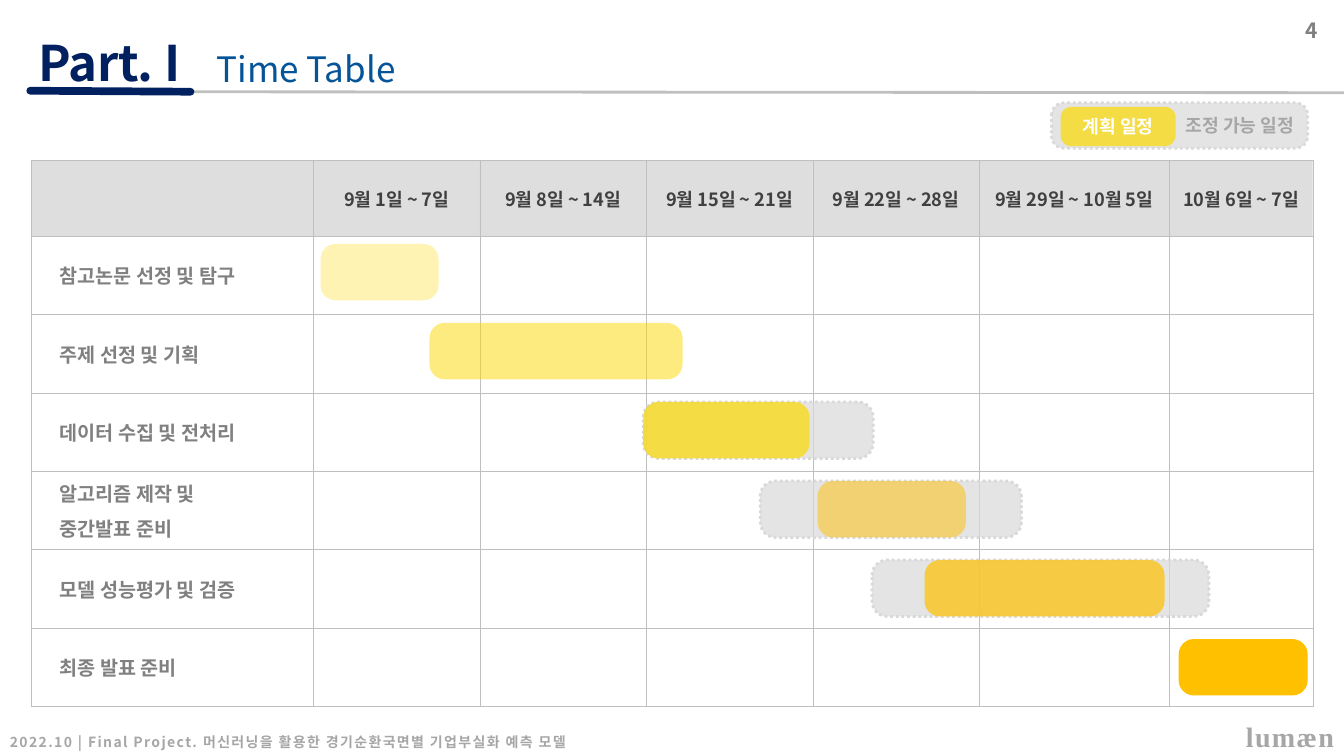
from lxml import etree
from pptx import Presentation
from pptx.dml.color import RGBColor
from pptx.enum.dml import MSO_LINE
from pptx.enum.shapes import MSO_CONNECTOR, MSO_SHAPE
from pptx.enum.text import MSO_ANCHOR, PP_ALIGN
from pptx.oxml.ns import qn
from pptx.util import Inches, Pt

LEFT, CENTER, RIGHT = PP_ALIGN.LEFT, PP_ALIGN.CENTER, PP_ALIGN.RIGHT
TOP, MIDDLE, BOTTOM = MSO_ANCHOR.TOP, MSO_ANCHOR.MIDDLE, MSO_ANCHOR.BOTTOM
SANS, SERIF = "Noto Sans CJK KR", "Times New Roman"
NAVY, YELLOW, GOLD = "002060", "FCD901", "FFC000"
RULE_GRAY, SLACK_GRAY, PALE_GRAY, LABEL_GRAY = "BFBFBF", "D9D9D9", "A6A6A6", "808080"

TITLE = "Time Table"
PART = "Part. I"
PAGE_NUMBER = "4"
TEAM = "lumæn"
FOOTER = "2022.10 | Final Project. 머신러닝을 활용한 경기순환국면별 기업부실화 예측 모델"
LEGEND_SLACK, LEGEND_PLAN = "조정 가능 일정", "계획 일정"
WEEKS = ["9월 1일 ~ 7일", "9월 8일 ~ 14일", "9월 15일 ~ 21일",
         "9월 22일 ~ 28일", "9월 29일 ~ 10월 5일", "10월 6일 ~ 7일"]
# label lines, planned (left, width), colour, opacity, adjustable (left, width)
TASKS = [
    (["참고논문 선정 및 탐구"], (3.18, 1.17), YELLOW, 30, None),
    (["주제 선정 및 기획"], (4.26, 2.51), YELLOW, 50, None),
    (["데이터 수집 및 전처리"], (6.38, 1.65), YELLOW, 70, (6.38, 2.28)),
    (["알고리즘 제작 및", "중간발표 준비"], (8.11, 1.47), GOLD, 50, (7.54, 2.59)),
    (["모델 성능평가 및 검증"], (9.17, 2.38), GOLD, 70, (8.65, 3.34)),
    (["최종 발표 준비"], (11.69, 1.28), GOLD, 100, None),
]

TABLE_BOX = (0.31, 1.59, 12.71, 5.42)
COLUMN_WIDTHS = [2.8, 1.65, 1.65, 1.65, 1.65, 1.89, 1.42]
HEADER_HEIGHT = 0.75
ROW_HEIGHT = (TABLE_BOX[3] - HEADER_HEIGHT) / len(TASKS)
FIRST_BAR, LAST_BAR, BAR_HEIGHT = 2.42, 6.34, 0.56
BAR_STEP = (LAST_BAR - FIRST_BAR) / (len(TASKS) - 1)


def color(value):
    return RGBColor.from_string(value)


def fill_solid(fill, value, opacity=100):
    fill.solid()
    fill.fore_color.rgb = color(value)
    if opacity < 100:
        solid = fill._xPr.find(qn("a:solidFill"))
        etree.SubElement(solid[0], qn("a:alpha"), val=str(opacity * 1000))


def write(frame, lines, size, value, bold=True, align=LEFT, anchor=TOP,
          name=SANS, spacing=0, after=0):
    frame.word_wrap = True
    frame.vertical_anchor = anchor
    for index, line in enumerate(lines):
        paragraph = frame.paragraphs[0] if index == 0 else frame.add_paragraph()
        paragraph.alignment = align
        if index < len(lines) - 1:
            paragraph.space_after = Pt(after)
        run = paragraph.add_run()
        run.text = line
        for key, setting in {"size": Pt(size), "bold": bold, "name": name}.items():
            setattr(run.font, key, setting)
        run.font.color.rgb = color(value)
        properties = run.font._element
        etree.SubElement(properties, qn("a:ea"), typeface=name)
        if spacing:
            properties.set("spc", str(round(spacing * 100)))


def set_insets(target, left, top, right, bottom):
    sides = {"left": left, "top": top, "right": right, "bottom": bottom}
    for side, inset in sides.items():
        setattr(target, f"margin_{side}", Inches(inset))


def add_text(slide, box, text, size, value, **style):
    shape = slide.shapes.add_textbox(*map(Inches, box))
    write(shape.text_frame, [text], size, value, **style)
    return shape


def add_block(slide, kind, box, value, opacity):
    shape = slide.shapes.add_shape(kind, *map(Inches, box))
    shape.shadow.inherit = False
    fill_solid(shape.fill, value, opacity)
    shape.line.fill.background()
    return shape


def add_bar(slide, box, value, opacity):
    bar = add_block(slide, MSO_SHAPE.ROUNDED_RECTANGLE, box, value, opacity)
    bar.adjustments[0] = 0.27
    return bar


def add_slack(slide, box):
    """Add a bar with a dotted edge for the adjustable period."""
    bar = add_bar(slide, box, SLACK_GRAY, 70)
    bar.line.color.rgb = color(SLACK_GRAY)
    bar.line.width = Pt(2)
    bar.line.dash_style = MSO_LINE.ROUND_DOT
    return bar


def add_rule(slide, ends, value, width, cap="flat"):
    rule = slide.shapes.add_connector(MSO_CONNECTOR.STRAIGHT, *map(Inches, ends))
    rule.line.color.rgb = color(value)
    rule.line.width = Pt(width)
    rule.line._get_or_add_ln().set("cap", cap)
    etree.SubElement(rule._element.spPr, qn("a:effectLst"))


def add_borders(cell):
    properties = cell._tc.get_or_add_tcPr()
    for index, side in enumerate(("lnL", "lnR", "lnT", "lnB")):
        line = etree.Element(qn(f"a:{side}"), w=str(Pt(0.25)))
        solid = etree.SubElement(line, qn("a:solidFill"))
        etree.SubElement(solid, qn("a:srgbClr"), val=RULE_GRAY)
        properties.insert(index, line)


def add_header(slide):
    add_rule(slide, (1.1, 0.91, 13.33, 0.92), RULE_GRAY, 2)
    add_rule(slide, (0.3, 0.9, 1.89, 0.91), NAVY, 5.5, "rnd")
    part = add_text(slide, (0.38, 0.32, 2.31, 0.59), PART, 35, NAVY, spacing=-0.3)
    set_insets(part.text_frame, 0, 0, 0, 0)
    title = slide.shapes.title
    for key, length in zip(("left", "top", "width", "height"), (2.05, 0.37, 10.65, 0.57)):
        setattr(title, key, Inches(length))
    write(title.text_frame, [TITLE], 25, "045497", bold=False, anchor=BOTTOM)
    add_text(slide, (10.17, 0.12, 3, 0.4), PAGE_NUMBER, 15, LABEL_GRAY, align=RIGHT)


def add_footer(slide):
    add_text(slide, (11.4, 7.1, 1.93, 0.4), TEAM, 20, PALE_GRAY,
             align=RIGHT, anchor=MIDDLE, name=SERIF, spacing=1)
    band = add_block(slide, MSO_SHAPE.RECTANGLE, (0, 7.18, 11.04, 0.31), "FFFFFF", 50)
    write(band.text_frame, [FOOTER], 10, PALE_GRAY, anchor=BOTTOM, spacing=1)


def add_timetable(slide):
    frame = slide.shapes.add_table(len(TASKS) + 1, len(COLUMN_WIDTHS),
                                   *map(Inches, TABLE_BOX))
    table = frame.table
    for column, width in zip(table.columns, COLUMN_WIDTHS):
        column.width = Inches(width)
    for index, row in enumerate(table.rows):
        row.height = Inches(ROW_HEIGHT if index else HEADER_HEIGHT)
        for cell in row.cells:
            if index:
                cell.fill.background()
            else:
                fill_solid(cell.fill, RULE_GRAY, 50)
            add_borders(cell)
    for index, week in enumerate(WEEKS, 1):
        cell = table.cell(0, index)
        set_insets(cell, 0.07, 0.03, 0.07, 0.03)
        write(cell.text_frame, [week], 13, "404040", align=CENTER)
        cell.vertical_anchor = MIDDLE
    for index, task in enumerate(TASKS, 1):
        cell = table.cell(index, 0)
        set_insets(cell, 0.28, 0.03, 0.07, 0.03)
        write(cell.text_frame, task[0], 14, LABEL_GRAY, after=4)
        cell.vertical_anchor = MIDDLE


def add_schedule(slide):
    for index, (_, planned, value, opacity, slack) in enumerate(TASKS):
        top = FIRST_BAR + index * BAR_STEP
        if slack:
            add_slack(slide, (slack[0], top, slack[1], BAR_HEIGHT))
        add_bar(slide, (planned[0], top, planned[1], BAR_HEIGHT), value, opacity)


def add_legend(slide):
    slack = add_slack(slide, (10.43, 1.02, 2.54, 0.45))
    write(slack.text_frame, [LEGEND_SLACK], 13, PALE_GRAY, align=RIGHT, anchor=MIDDLE)
    plan = add_bar(slide, (10.52, 1.06, 1.14, 0.39), YELLOW, 70)
    write(plan.text_frame, [LEGEND_PLAN], 13, "FFFFFF", align=CENTER, anchor=MIDDLE)


def main():
    presentation = Presentation()
    presentation.slide_width, presentation.slide_height = Inches(13.33), Inches(7.5)
    slide = presentation.slides.add_slide(presentation.slide_layouts[5])
    for add_part in (add_header, add_footer, add_timetable, add_schedule, add_legend):
        add_part(slide)
    presentation.save("out.pptx")


if __name__ == "__main__":
    main()
